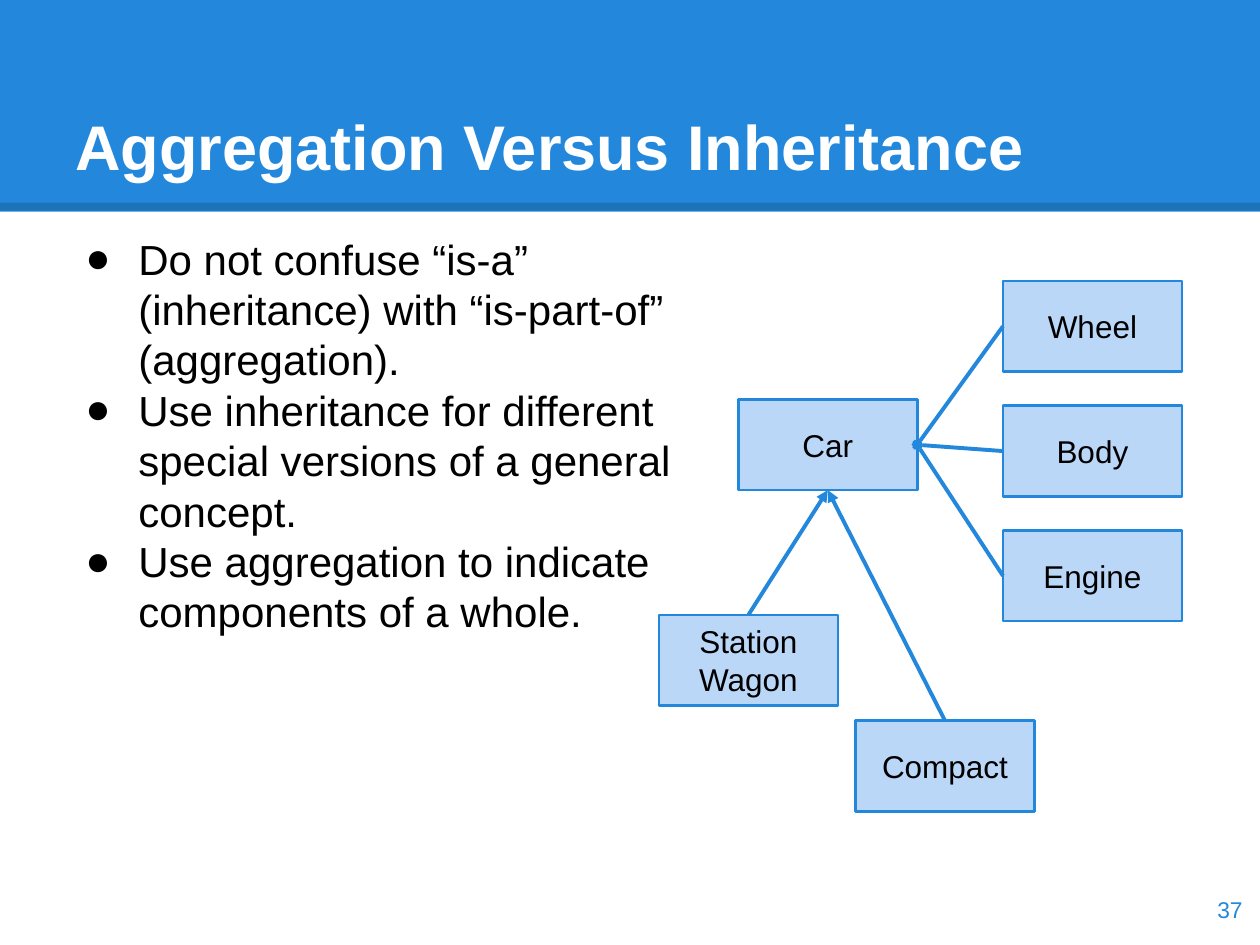
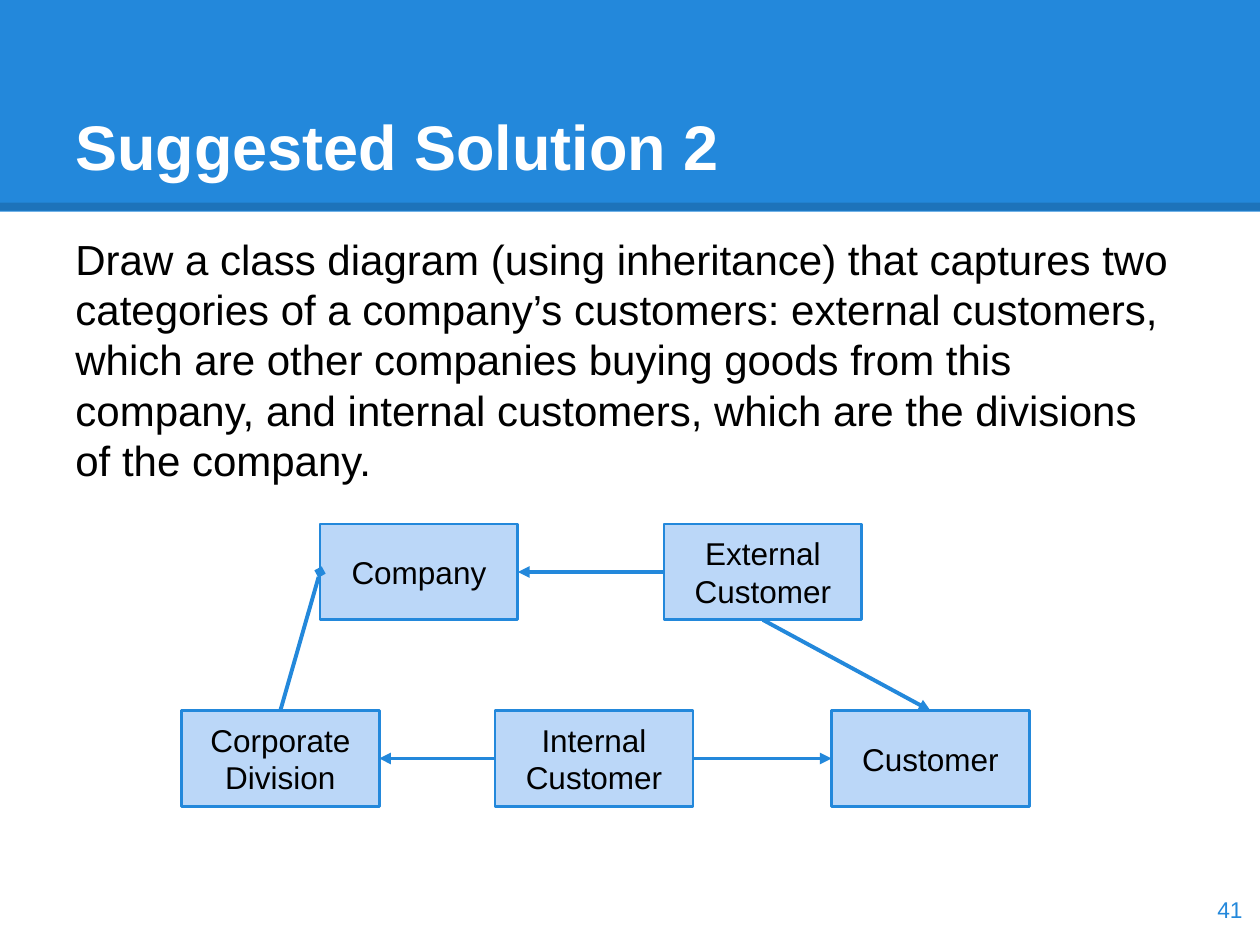
from lxml.etree import SubElement
from pptx import Presentation
from pptx.dml.color import RGBColor
from pptx.enum.shapes import MSO_CONNECTOR as Link, MSO_SHAPE as Kind
from pptx.enum.text import MSO_ANCHOR as Anchor, PP_ALIGN as Align
from pptx.oxml.ns import qn
from pptx.util import Inches, Pt

HUES = {"blue": "2388DB", "pale": "BBD7F8", "ink": "000000", "white": "FFFFFF"}
FONT = "Arial"
SITES = {"top": 0, "left": 1, "bottom": 2, "right": 3}

# boxes: name -> (left, top); links: (from, side, to, side, head)
SLIDES = [
    {
        "title": "Aggregation Versus Inheritance",
        "page": "37",
        "body": [
            "Do not confuse “is-a” (inheritance) with “is-part-of” (aggregation).",
            "Use inheritance for different special versions of a general concept.",
            "Use aggregation to indicate components of a whole.",
        ],
        "bullets": True,
        "area": (5.2, 3.4),
        "size": (1.42, 0.72),
        "boxes": {
            "Car": (5.86, 3.17),
            **{part: (7.96, 2.23 + 0.99 * row)
               for row, part in enumerate(["Wheel", "Body", "Engine"])},
            "Station Wagon": (5.23, 4.88),
            "Compact": (6.79, 5.72),
        },
        "links": [
            *[(part, "left", "Car", "right", "diamond")
              for part in ("Wheel", "Body", "Engine")],
            *[(kind, "top", "Car", "bottom", "triangle")
              for kind in ("Station Wagon", "Compact")],
        ],
    },
    {
        "title": "Suggested Solution 2",
        "page": "41",
        "body": [
            "Draw a class diagram (using inheritance) that captures two "
            "categories of a company’s customers: external customers, which "
            "are other companies buying goods from this company, and internal "
            "customers, which are the divisions of the company.",
        ],
        "bullets": False,
        "area": (8.89, 2.41),
        "size": (1.57, 0.76),
        "boxes": {
            "Company": (2.54, 4.16),
            "External Customer": (5.27, 4.16),
            "Corporate Division": (1.44, 5.64),
            "Internal Customer": (3.93, 5.64),
            "Customer": (6.6, 5.64),
        },
        "links": [
            ("Corporate Division", "top", "Company", "left", "diamond"),
            ("Internal Customer", "left", "Corporate Division", "right", "triangle"),
            ("Internal Customer", "right", "Customer", "left", "triangle"),
            ("External Customer", "left", "Company", "right", "triangle"),
            ("External Customer", "bottom", "Customer", "top", "triangle"),
        ],
    },
]


def hue(name):
    return RGBColor.from_string(HUES[name])


def write(shape, lines, size, color="ink", bold=False, align=Align.LEFT,
          anchor=Anchor.TOP, bullets=False):
    frame = shape.text_frame
    frame.word_wrap = True
    frame.vertical_anchor = anchor
    frame.margin_left = frame.margin_right = Inches(0.1)
    frame.margin_top = frame.margin_bottom = Inches(0.1)
    frame.text = "\n".join(lines)
    for para in frame.paragraphs:
        if bullets:
            mark(para)
        para.alignment = align
        for run in para.runs:
            font = run.font
            font.name, font.size, font.bold = FONT, Pt(size), bold
            font.color.rgb = hue(color)


def mark(para):
    """Give the paragraph a round bullet and a hanging indent."""
    props = para._p.get_or_add_pPr()
    props.set("marL", str(Inches(0.5)))
    props.set("indent", str(Inches(-0.42)))
    tint = SubElement(props, qn("a:buClr"))
    SubElement(tint, qn("a:srgbClr"), val=HUES["ink"])
    SubElement(props, qn("a:buFont"), typeface=FONT)
    SubElement(props, qn("a:buChar"), char="●")


def add_text(slide, place, lines, size, **style):
    shape = slide.shapes.add_textbox(*map(Inches, place))
    write(shape, lines, size, **style)


def add_rect(slide, place, fill):
    shape = slide.shapes.add_shape(Kind.RECTANGLE, *map(Inches, place))
    shape.shadow.inherit = False
    shape.fill.solid()
    shape.fill.fore_color.rgb = hue(fill)
    shape.line.fill.background()
    return shape


def add_line(slide, ends, color, width):
    line = slide.shapes.add_connector(Link.STRAIGHT, *map(Inches, ends))
    line.line.color.rgb = hue(color)
    line.line.width = Pt(width)
    SubElement(line._element.spPr, qn("a:effectLst"))
    return line


def add_frame(slide, title, page):
    add_rect(slide, (0, 0, 10, 1.68), "blue")
    edge = add_line(slide, (0, 1.64, 10, 1.64), "ink", 4.5)
    tint = edge.line._ln.find(".//" + qn("a:srgbClr"))
    SubElement(tint, qn("a:alpha"), val="15000")
    add_text(slide, (0.5, 0.3, 9, 1.25), [title], 36, color="white",
             bold=True, anchor=Anchor.BOTTOM)
    add_text(slide, (9.36, 6.93, 0.6, 0.57), [page], 13, color="blue",
             align=Align.RIGHT, anchor=Anchor.MIDDLE)


def add_graph(slide, boxes, size, links):
    nodes = {}
    for name, spot in boxes.items():
        node = nodes[name] = add_rect(slide, (*spot, *size), "pale")
        node.line.color.rgb = hue("blue")
        node.line.width = Pt(1.5)
        write(node, [name], 18, align=Align.CENTER, anchor=Anchor.MIDDLE)
    for start, out, end, into, head in links:
        line = add_line(slide, (0, 0, 0, 0), "blue", 2.25)
        line.begin_connect(nodes[start], SITES[out])
        line.end_connect(nodes[end], SITES[into])
        SubElement(line.line._ln, qn("a:tailEnd"), type=head)


def main():
    deck = Presentation()
    deck.slide_width, deck.slide_height = Inches(10), Inches(7.5)
    for data in SLIDES:
        slide = deck.slides.add_slide(deck.slide_layouts[6])
        add_frame(slide, data["title"], data["page"])
        add_text(slide, (0.5, 1.75, *data["area"]), data["body"], 24,
                 bullets=data["bullets"])
        add_graph(slide, data["boxes"], data["size"], data["links"])
    deck.save("out.pptx")


if __name__ == "__main__":
    main()
